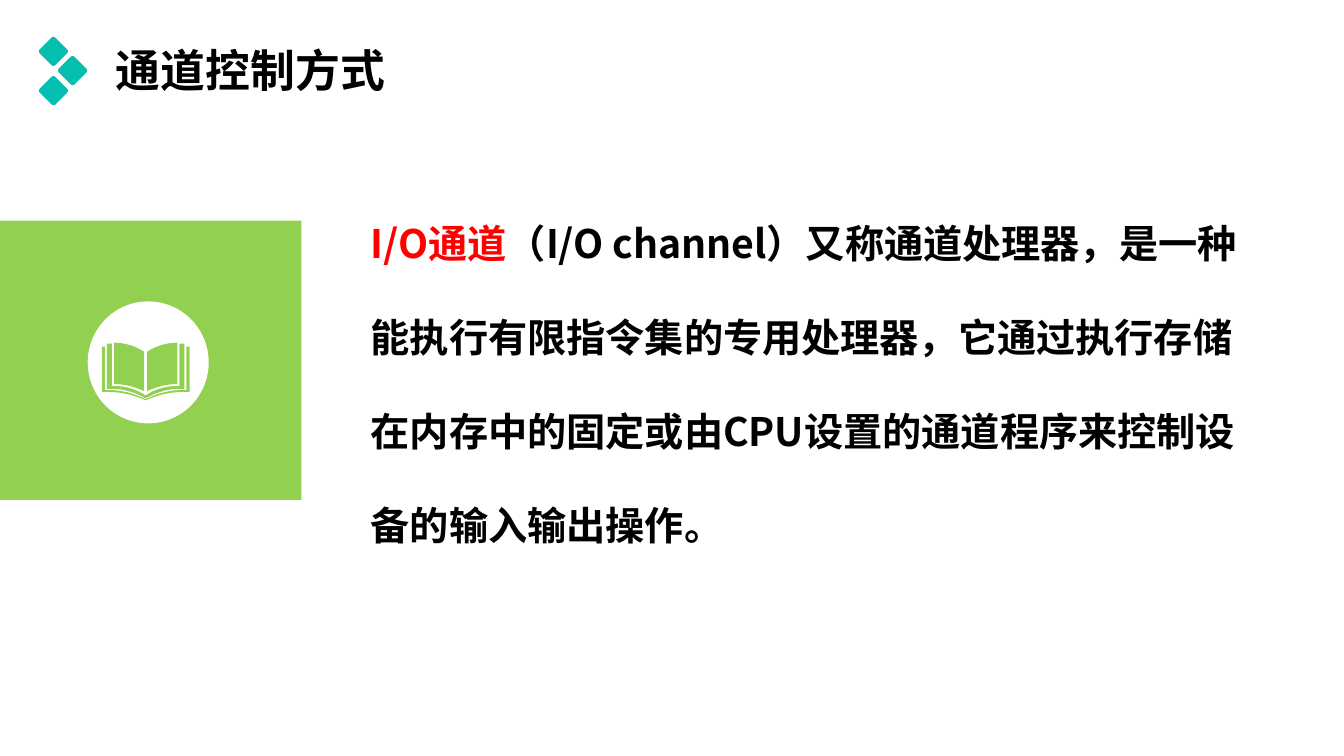
"""Build the slide that introduces the I/O channel control method."""
from lxml import etree
from pptx import Presentation
from pptx import util as u
from pptx.dml.color import RGBColor
from pptx.enum import shapes, text
from pptx.oxml.ns import qn

PX = u.Inches(1) // 100
FONT = "Noto Sans CJK SC"
COLORS = {"green": "92D050", "white": "FFFFFF", "teal": "04BEB0", "red": "FF0000", "black": "000000"}

TITLE = "通道控制方式"
TITLE_BOX = (105, 0, 1150, 145)
BODY = [
    ("I/O通道", "red"),
    ("（I/O channel）又称通道处理器，是一种能执行有限指令集的专用处理器，"
     "它通过执行存储在内存中的固定或由CPU设置的通道程序来控制设备的输入输出操作。", "black"),
]
BODY_BOX = (358, 166, 897, 387)
PANEL = (0, 219, 299, 277)
DISC = (87, 299, 120, 121)

DIAMOND_SIDE = 22
DIAMOND_CENTERS = [(53, 51), (72, 70), (53, 90)]

BOOK_MIRROR = 289
CURVE_STEPS = 8
COVER = [(144, 396), (133, 390, 120, 387, 108, 387), (104, 387), (104, 344), (101, 344),
         (101, 389), (116, 388, 131, 391, 144, 397)]
INNER_PAGES = [(144, 395), (132, 388, 119, 385, 106, 386), (106, 341), (111, 341), (111, 383),
               (114, 383), (124, 383, 135, 386, 144, 392)]
PAGE = [(143, 388), (143, 349), (134, 343, 123, 340, 113, 340), (113, 381),
        (124, 381, 134, 384, 143, 388)]


def color(name):
    return RGBColor.from_string(COLORS[name])


def scaled(box):
    return [value * PX for value in box]


def paint(shape, name):
    shape.shadow.inherit = False
    shape.fill.solid()
    shape.fill.fore_color.rgb = color(name)
    shape.line.fill.background()


def add_preset(slide, kind, box, name):
    shape = slide.shapes.add_shape(kind, *scaled(box))
    paint(shape, name)
    return shape


def flatten(segments):
    points = []
    for segment in segments:
        if len(segment) == 2:
            points.append(segment)
            continue
        start = points[-1]
        for step in range(1, CURVE_STEPS + 1):
            t = step / CURVE_STEPS
            weights = ((1 - t) ** 3, 3 * t * (1 - t) ** 2, 3 * t * t * (1 - t), t ** 3)
            controls = start + segment
            points.append(tuple(sum(w * c for w, c in zip(weights, controls[axis::2]))
                                for axis in (0, 1)))
    return points


def mirrored(points):
    return [(BOOK_MIRROR - x, y) for x, y in reversed(points)]


def add_book(slide):
    page = flatten(PAGE)
    bands = [flatten(half) for half in (COVER, INNER_PAGES)]
    contours = [band + mirrored(band) for band in bands] + [page, mirrored(page)]
    contours = [[(round(x * PX), round(y * PX)) for x, y in contour] for contour in contours]
    builder = slide.shapes.build_freeform(*contours[0][0])
    for index, contour in enumerate(contours):
        if index:
            builder.move_to(*contour[0])
        builder.add_line_segments(contour[1:], close=True)
    paint(builder.convert_to_shape(), "green")


def format_run(run, size, name):
    run.font.size = u.Pt(size)
    run.font.bold = True
    run.font.color.rgb = color(name)
    run.font.name = FONT
    etree.SubElement(run.font._element, qn("a:ea"), typeface=FONT)


def add_title(slide):
    title = slide.shapes.title
    title.left, title.top, title.width, title.height = scaled(TITLE_BOX)
    frame = title.text_frame
    frame.text = TITLE
    frame.auto_size = text.MSO_AUTO_SIZE.NONE
    frame.vertical_anchor = text.MSO_ANCHOR.MIDDLE
    paragraph = frame.paragraphs[0]
    paragraph.alignment = text.PP_ALIGN.LEFT
    paragraph.line_spacing = 0.9
    format_run(paragraph.runs[0], 32, "black")


def add_body(slide):
    frame = slide.shapes.add_textbox(*scaled(BODY_BOX)).text_frame
    frame.word_wrap = True
    frame.auto_size = text.MSO_AUTO_SIZE.SHAPE_TO_FIT_TEXT
    paragraph = frame.paragraphs[0]
    paragraph.line_spacing = 2.0
    for words, name in BODY:
        run = paragraph.add_run()
        run.text = words
        format_run(run, 28, name)


def add_diamonds(slide):
    for x, y in DIAMOND_CENTERS:
        half = DIAMOND_SIDE // 2
        diamond = add_preset(slide, shapes.MSO_SHAPE.ROUNDED_RECTANGLE,
                             (x - half, y - half, DIAMOND_SIDE, DIAMOND_SIDE), "teal")
        diamond.adjustments[0] = 0.12
        diamond.rotation = 45


def main():
    presentation = Presentation()
    presentation.slide_width = 1333 * PX
    presentation.slide_height = 750 * PX
    slide = presentation.slides.add_slide(presentation.slide_layouts[5])
    add_preset(slide, shapes.MSO_SHAPE.RECTANGLE, PANEL, "green")
    add_preset(slide, shapes.MSO_SHAPE.OVAL, DISC, "white")
    add_book(slide)
    add_body(slide)
    add_title(slide)
    add_diamonds(slide)
    presentation.save("out.pptx")


if __name__ == "__main__":
    main()
